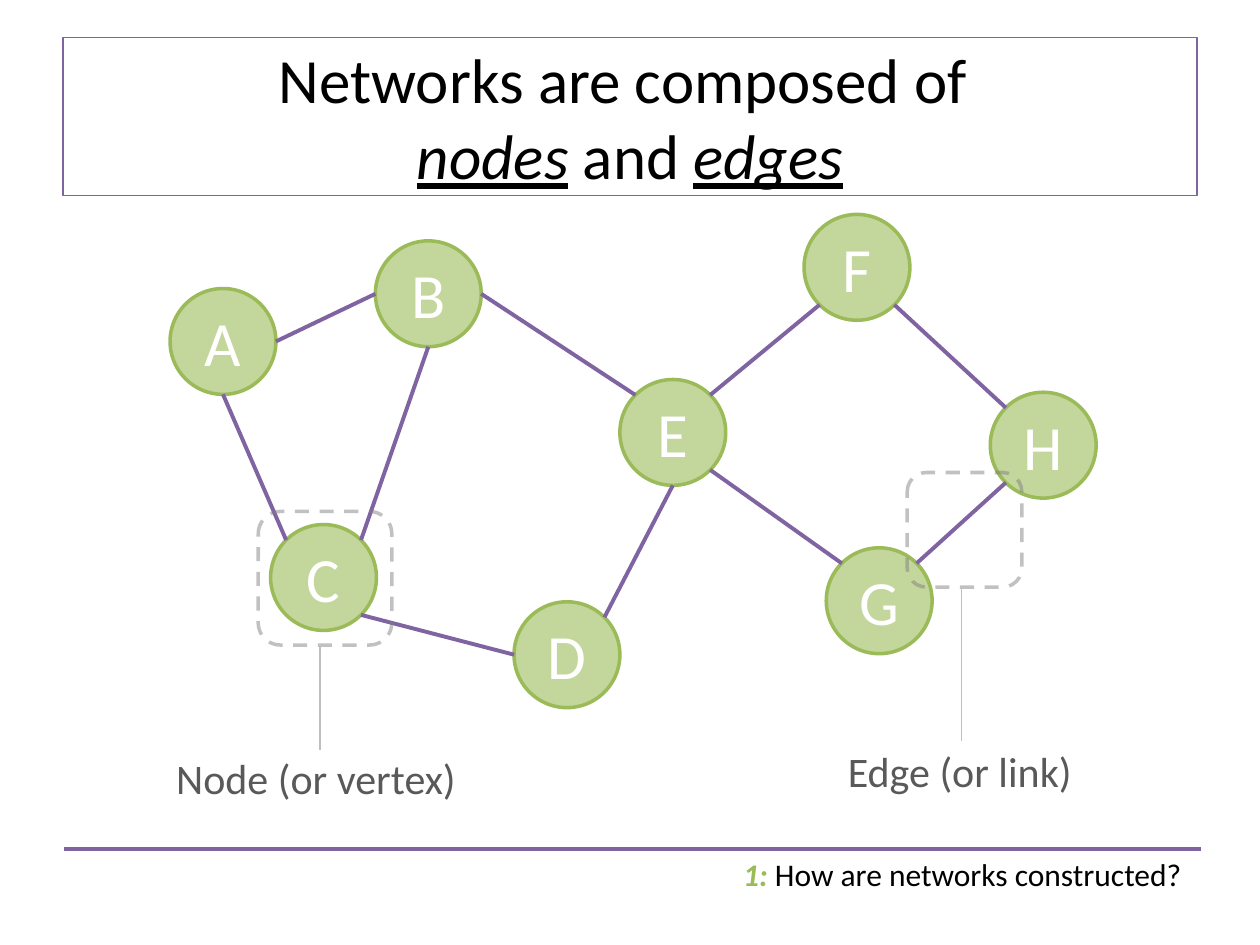
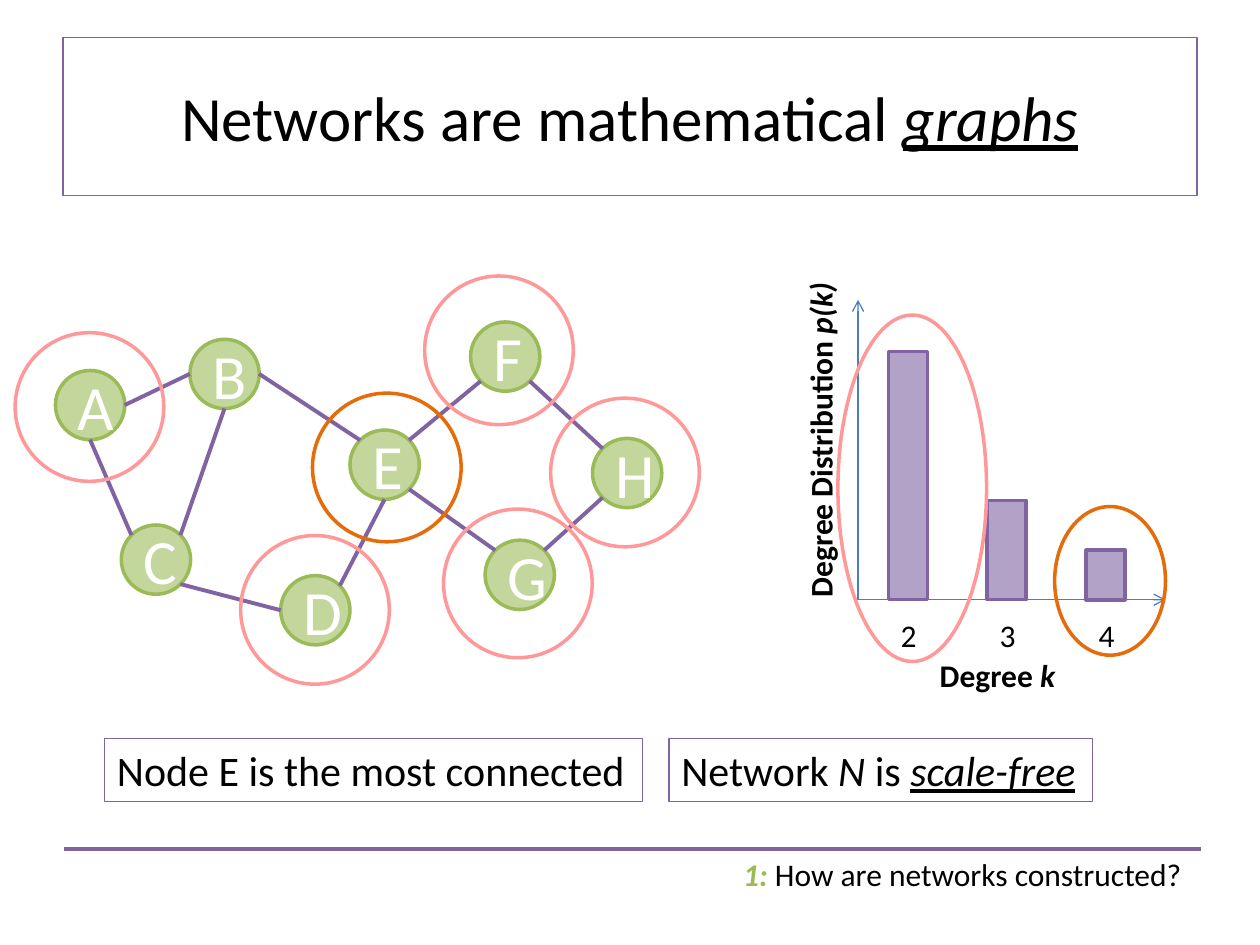
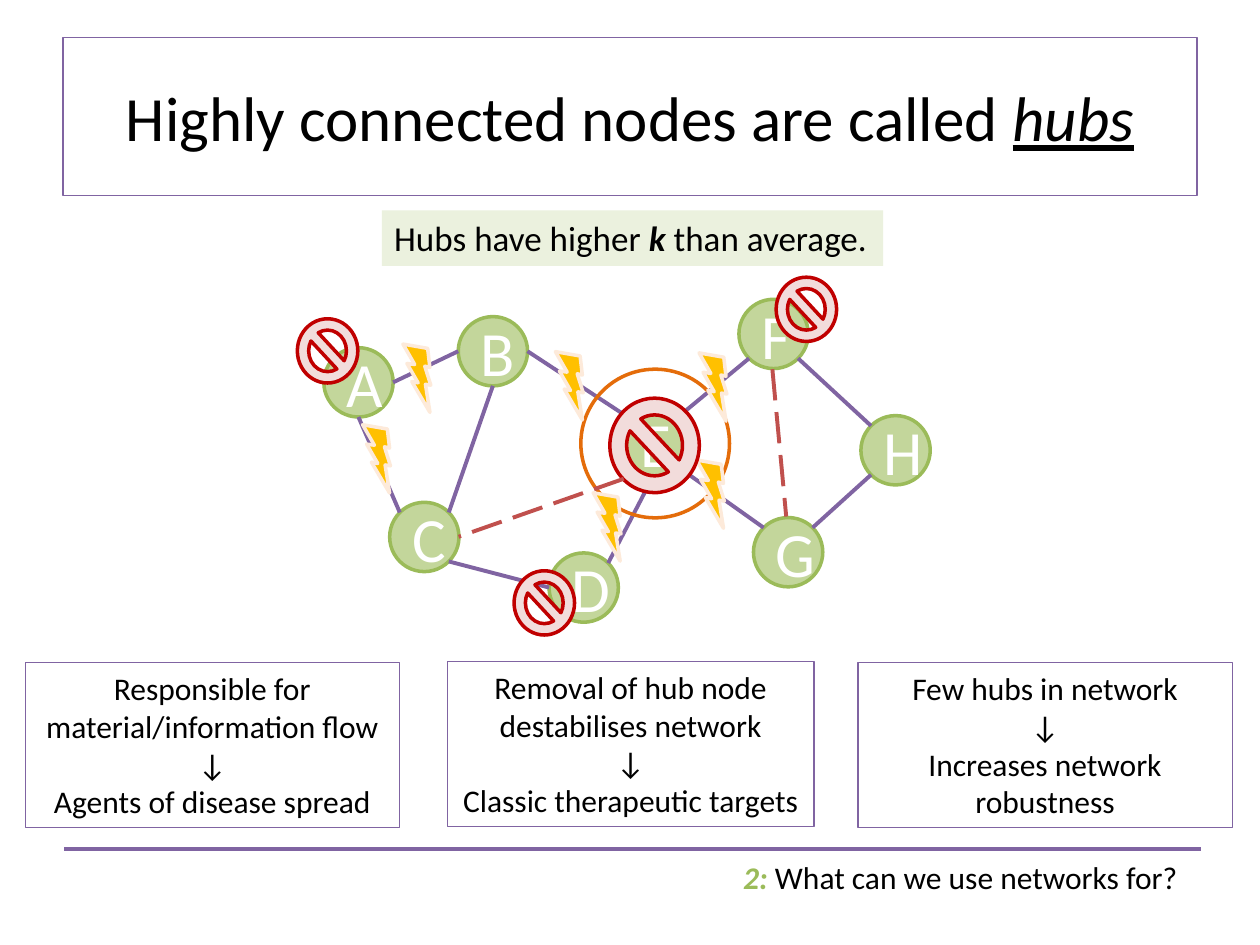
from math import cos, radians, sin

from lxml import etree
from pptx import Presentation
from pptx.dml.color import RGBColor
from pptx.enum import dml, shapes, text
from pptx.oxml.ns import qn
from pptx.util import Inches, Pt

FONT = "Calibri"
BLACK, WHITE, GREY, PALE_GREY = "000000", "FFFFFF", "595959", "BFBFBF"
PURPLE, LILAC, GREEN, LIGHT_GREEN = "8064A2", "B3A2C7", "9BBB59", "C3D69B"
ORANGE, PINK, RED = "E46C0A", "FF9999", "C0504D"
SHAPE = shapes.MSO_SHAPE
CENTER = text.PP_ALIGN.CENTER
DASH = dml.MSO_LINE
RING = 1.18

ITALIC = {"italic": True}
BOLD_ITALIC = {"bold": True, "italic": True}
TERM = {"italic": True, "underline": True}

# Offsets from node A, counted in node diameters
NODES = {"A": (0, 0), "B": (1.94, -0.45), "C": (0.95, 2.23), "D": (3.25, 2.96),
         "E": (4.25, 0.86), "F": (5.99, -0.7), "G": (6.2, 2.45), "H": (7.75, 0.98)}
# Each end is a node and the compass side of its rim
EDGES = [("A", "E", "B", "W"), ("A", "S", "C", "NW"), ("B", "S", "C", "NE"),
         ("B", "E", "E", "NW"), ("C", "SE", "D", "W"), ("E", "S", "D", "NE"),
         ("E", "NE", "F", "SW"), ("E", "SE", "G", "NW"), ("F", "SE", "H", "NW"),
         ("G", "NE", "H", "SW")]
COMPASS = {side: radians(45 * step) for step, side in
           enumerate(["E", "SE", "S", "SW", "W", "NW", "N", "NE"])}


def rgb(hex_color):
    return RGBColor.from_string(hex_color)


def write(frame, *paragraphs, size=18, color=BLACK, align=None, anchor=None,
          wrap=False, grow=True, bold=None):
    """Fill a frame; a paragraph is a list of strings or (string, format) pairs."""
    frame.word_wrap = wrap
    frame.auto_size = (text.MSO_AUTO_SIZE.SHAPE_TO_FIT_TEXT if grow
                       else text.MSO_AUTO_SIZE.NONE)
    frame.vertical_anchor = anchor or text.MSO_ANCHOR.TOP
    for index, pieces in enumerate(paragraphs):
        paragraph = frame.paragraphs[0] if index == 0 else frame.add_paragraph()
        paragraph.alignment = align or text.PP_ALIGN.LEFT
        for piece in pieces:
            if piece == "\n":
                paragraph.add_line_break()
                continue
            words, look = (piece, {}) if isinstance(piece, str) else piece
            run = paragraph.add_run()
            run.text = words
            font = run.font
            font.name, font.size = FONT, Pt(size)
            font.bold = look.get("bold", bold)
            font.italic = look.get("italic")
            font.underline = look.get("underline")
            font.color.rgb = rgb(look.get("color", color))


class Deck:
    """Holds the shared style and the slide being filled."""

    def __init__(self):
        self.show = Presentation()
        self.show.slide_width, self.show.slide_height = Inches(10), Inches(7.5)
        self.slide = None

    def new_slide(self, title, number, question, footer_top=6.74):
        self.slide = self.show.slides.add_slide(self.show.slide_layouts[6])
        self.line((0.51, 6.74), (9.53, 6.74))
        heading = self.shape(SHAPE.RECTANGLE, 0.5, 0.3, 9, 1.25, line=PURPLE, width=0.75)
        write(heading.text_frame, title, size=36, align=CENTER,
              anchor=text.MSO_ANCHOR.MIDDLE, wrap=True, grow=False)
        self.label(5.8, footer_top, 3.72, 0.4,
                   [(number, {**BOLD_ITALIC, "color": GREEN}), question])

    def shape(self, kind, left, top, width_in, height, fill=None, line=None,
              width=2, dash=None, alpha=None, rotation=0):
        item = self.slide.shapes.add_shape(
            kind, Inches(left), Inches(top), Inches(width_in), Inches(height))
        item.shadow.inherit = False
        item.rotation = rotation
        if fill:
            item.fill.solid()
            item.fill.fore_color.rgb = rgb(fill)
        else:
            item.fill.background()
        if line:
            item.line.color.rgb = rgb(line)
            item.line.width = Pt(width)
            item.line.dash_style = dash
        else:
            item.line.fill.background()
        if alpha:
            stroke = item.element.spPr.find(f"{qn('a:ln')}//{qn('a:srgbClr')}")
            etree.SubElement(stroke, qn("a:alpha"), val=str(alpha * 1000))
        return item

    def line(self, start, end, color=PURPLE, width=2.25, dash=None, arrow=False):
        item = self.slide.shapes.add_connector(
            shapes.MSO_CONNECTOR.STRAIGHT, *(Inches(n) for n in (*start, *end)))
        item.line.color.rgb = rgb(color)
        item.line.width = Pt(width)
        item.line.dash_style = dash
        properties = item.element.spPr
        if arrow:
            etree.SubElement(properties.find(qn("a:ln")), qn("a:tailEnd"), type="arrow")
        etree.SubElement(properties, qn("a:effectLst"))

    def label(self, left, top, width, height, pieces, upward=False, **style):
        box = self.slide.shapes.add_textbox(
            Inches(left), Inches(top), Inches(width), Inches(height))
        write(box.text_frame, pieces, **style)
        if upward:
            box.element.txBody.find(qn("a:bodyPr")).set("vert", "vert270")

    def panel(self, left, top, width, height, *paragraphs, fill=None, line=PURPLE, **style):
        box = self.shape(SHAPE.RECTANGLE, left, top, width, height, fill, line, 0.75)
        write(box.text_frame, *paragraphs, **style)

    def ring(self, left, top, color, width=RING, height=RING):
        self.shape(SHAPE.OVAL, left, top, width, height, line=color)

    def network(self, left, top, diameter):
        """Draw the whole network, with node A's box at left, top."""
        corners = {name: (left + x * diameter, top + y * diameter)
                   for name, (x, y) in NODES.items()}
        for name, (x, y) in corners.items():
            node = self.shape(SHAPE.OVAL, x, y, diameter, diameter, LIGHT_GREEN, GREEN)
            write(node.text_frame, [name], size=36, color=WHITE, align=CENTER,
                  anchor=text.MSO_ANCHOR.MIDDLE, wrap=True, grow=False)

        def rim(name, side):
            x, y = corners[name]
            angle = COMPASS[side]
            return (x + diameter * (1 + cos(angle)) / 2,
                    y + diameter * (1 + sin(angle)) / 2)

        for source, source_side, target, target_side in EDGES:
            self.line(rim(source, source_side), rim(target, target_side))


def nodes_and_edges(deck):
    deck.new_slide(["Networks are composed of ", "\n", ("nodes", TERM), " and ",
                    ("edges", TERM)], "1:", " How are networks constructed?")
    deck.network(1.35, 2.29, 0.84)
    for left, top, side in [(2.05, 4.06, 1.06), (7.2, 3.75, 0.91)]:
        deck.shape(SHAPE.ROUNDED_RECTANGLE, left, top, side, side, line="7F7F7F",
                   dash=DASH.DASH, alpha=48)
    for x, top, bottom in [(2.54, 5.13, 5.95), (7.63, 4.66, 5.88)]:
        deck.line((x, top), (x, bottom), PALE_GREY, 0.75)
    deck.label(1.3, 5.92, 2.44, 0.5, ["Node (or vertex)"], size=24, color=GREY)
    deck.label(6.63, 5.87, 1.99, 0.5, ["Edge (or link)"], size=24, color=GREY)


def degree_distribution(deck):
    axis_x, axis_y, unit, bar_width = 6.81, 4.76, 0.394, 0.31
    for end in [(axis_x, 2.38), (9.25, axis_y)]:
        deck.line((axis_x, axis_y), end, "4B7EBC", 0.75, arrow=True)
    for index, (degree, node_count) in enumerate([("2", 5), ("3", 2), ("4", 1)]):
        left, height = 7.05 + 0.785 * index, unit * node_count
        deck.shape(SHAPE.RECTANGLE, left, axis_y - height, bar_width, height, LILAC, PURPLE)
        deck.label(left, 4.84, bar_width, 0.4, [degree], align=CENTER)
    deck.label(6.31, 2.22, 0.5, 2.62, ["Degree Distribution ", ("p(k)", BOLD_ITALIC)],
               upward=True, bold=True)
    deck.label(7.36, 5.16, 1.12, 0.4, ["Degree ", ("k", BOLD_ITALIC)], bold=True)


def graphs(deck):
    deck.new_slide(["Networks are mathematical ", ("graphs", TERM)],
                   "1:", " How are networks constructed?")
    degree_distribution(deck)
    deck.network(0.44, 2.94, 0.55)
    deck.panel(5.31, 5.86, 3.36, 0.5, ["Network ", ("N ", ITALIC), "is ",
                                       ("scale-free", TERM)], size=24)
    deck.ring(2.48, 3.12, ORANGE)
    deck.ring(8.37, 4.02, ORANGE, width=0.88)
    for left, top in [(0.12, 2.64), (3.37, 2.19), (4.37, 3.16), (3.52, 4.04), (1.91, 4.25)]:
        deck.ring(left, top, PINK)
    deck.ring(6.65, 2.5, PINK, height=2.75)
    deck.panel(0.83, 5.86, 4.27, 0.5, ["Node E is the most connected"], size=24)


def hubs(deck):
    deck.new_slide(["Highly connected nodes are called ", ("hubs", TERM)],
                   "2: ", "What can we use networks for?", footer_top=6.76)
    deck.network(2.57, 2.76, 0.55)
    deck.ring(4.61, 2.93, ORANGE)
    deck.panel(3.03, 1.67, 3.98, 0.44, ["Hubs have higher ", ("k ", BOLD_ITALIC),
                                        "than average."], fill="EBF1DE", line=None, size=20)
    for left, top, width, cause, effect in [
            (0.2, 5.26, 2.97, "Responsible for material/information flow",
             "Agents of disease spread"),
            (3.55, 5.25, 2.91, "Removal of hub node destabilises network",
             "Classic therapeutic targets"),
            (6.81, 5.26, 2.97, "Few hubs in network", "Increases network robustness")]:
        deck.panel(left, top, width, 1.31, [cause], ["↓"], [effect], fill=WHITE,
                   align=CENTER, wrap=True)
    for left, top in [(4.3, 2.82), (4.6, 3.94), (5.44, 2.83), (5.42, 3.68),
                      (2.77, 3.4), (3.09, 2.76)]:
        deck.shape(SHAPE.LIGHTNING_BOLT, left, top, 0.47, 0.42, "FFC000", "FDEADA",
                   rotation=32.2)
    for left, top, width, height in [(4.84, 3.16, 0.71, 0.75), (2.36, 2.53, 0.48, 0.51),
                                     (4.08, 4.53, 0.48, 0.51), (6.16, 2.2, 0.48, 0.51)]:
        deck.shape(SHAPE.NO_SYMBOL, left, top, width, height, "F2DCDB", "C00000")
    for start, end in [((4.95, 3.8), (3.64, 4.26)), ((6.13, 2.93), (6.24, 4.1))]:
        deck.line(start, end, RED, dash=DASH.LONG_DASH)


def main():
    deck = Deck()
    for build in (nodes_and_edges, graphs, hubs):
        build(deck)
    deck.show.save("out.pptx")


if __name__ == "__main__":
    main()
